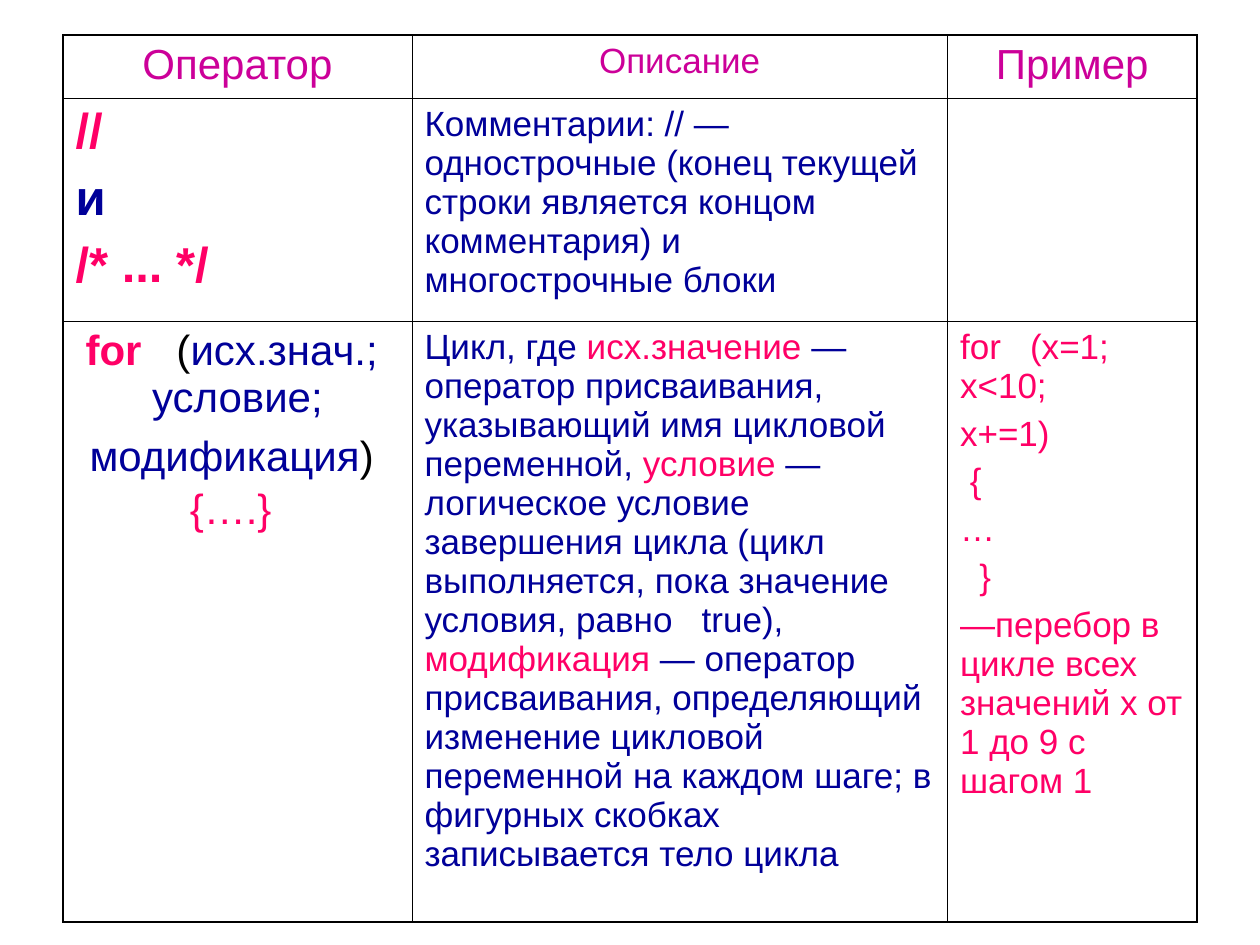
from dataclasses import dataclass

from lxml import etree
from pptx import Presentation
from pptx.dml.color import RGBColor
from pptx.enum import text
from pptx.oxml.ns import qn
from pptx.util import Inches, Pt


@dataclass(frozen=True)
class Theme:
    font: str = "Arial"
    heading: str = "CC0099"
    accent: str = "FF0066"
    body: str = "000099"
    ink: str = "000000"
    small: int = 20
    medium: int = 24
    large: int = 28
    outer_line: float = 1.08
    inner_line: float = 0.45


T = Theme()
LEFT, CENTER = text.PP_ALIGN.LEFT, text.PP_ALIGN.CENTER

COLUMNS = [2.77, 4.25, 1.98]
ROWS = [0.5, 1.77, 4.77]


def para(*runs, size=T.small, align=LEFT, before=5, bold=False):
    """Describe a paragraph; each run is (text, colour[, font overrides])."""
    return dict(runs=runs, size=size, align=align, before=before, bold=bold)


def heading(label, size, before):
    return [para((label, T.heading), size=size, align=CENTER, before=before)]


def symbol(label, color):
    return para((label, color), size=T.large, before=7, bold=True)


CELLS = [
    [
        heading("Оператор", T.medium, 6),
        heading("Описание", T.small, 5),
        heading("Пример", T.medium, 6),
    ],
    [
        [symbol("//", T.accent), symbol("и", T.body), symbol("/* ... */", T.accent)],
        [para(("Комментарии: // — однострочные (конец текущей строки является "
               "концом комментария) и многострочные блоки", T.body))],
        [],
    ],
    [
        [
            para(("for", T.accent, {"bold": True}), ("   (", T.ink),
                 ("исх.знач.;  условие;", T.body),
                 size=T.medium, align=CENTER, before=6),
            para(("модификация", T.body), (")  ", T.ink), ("{….}", T.accent),
                 (" ", T.accent, {"size": Pt(T.large)}),
                 size=T.medium, align=CENTER, before=7),
        ],
        [para(
            ("Цикл, где ", T.body), ("исх.значение", T.accent),
            (" — оператор присваивания, указывающий имя цикловой переменной, ", T.body),
            ("условие", T.accent),
            (" — логическое условие  завершения цикла (цикл выполняется, пока "
             "значение условия, равно   true),   ", T.body),
            ("модификация", T.accent),
            (" — оператор   присваивания, определяющий изменение цикловой переменной "
             "на каждом шаге; в фигурных скобках записывается тело цикла", T.body),
        )],
        [para((line, T.accent)) for line in (
            "for   (x=1;   x<10;", "x+=1)", " {", "…", "  }",
            "—перебор в цикле всех значений х от 1 до 9 с шагом 1")],
    ],
]


def write_paragraph(p, item):
    p.alignment = item["align"]
    p.space_before = Pt(item["before"])
    p.font.name = T.font
    p.font.size = Pt(item["size"])
    p.font.bold = item["bold"]
    for label, color, *overrides in item["runs"]:
        r = p.add_run()
        r.text = label
        # Run fonts are set as well, so the table style cannot override them.
        r.font.name = T.font
        r.font.size = Pt(item["size"])
        r.font.bold = item["bold"]
        r.font.color.rgb = RGBColor.from_string(color)
        for name, value in (overrides[0] if overrides else {}).items():
            setattr(r.font, name, value)


def add_borders(cell, row, col):
    """Draw heavier lines on the table's outer edges than inside it."""
    outer = {
        "a:lnL": col == 0,
        "a:lnR": col == len(COLUMNS) - 1,
        "a:lnT": row == 0,
        "a:lnB": row == len(ROWS) - 1,
    }
    tc_pr = cell._tc.get_or_add_tcPr()
    for tag, is_outer in outer.items():
        width = Pt(T.outer_line if is_outer else T.inner_line)
        line = etree.SubElement(tc_pr, qn(tag), w=str(int(width)))
        fill = etree.SubElement(line, qn("a:solidFill"))
        etree.SubElement(fill, qn("a:srgbClr"), val=T.ink)


def add_operator_table(s):
    frame = s.shapes.add_table(len(ROWS), len(COLUMNS), Inches(0.5), Inches(0.28),
                               Inches(sum(COLUMNS)), Inches(sum(ROWS)))
    table = frame.table
    table.first_row = table.horz_banding = False
    for column, width in zip(table.columns, COLUMNS):
        column.width = Inches(width)
    for row, height in zip(table.rows, ROWS):
        row.height = Inches(height)
    for i, contents in enumerate(CELLS):
        for j, items in enumerate(contents):
            cell = table.cell(i, j)
            add_borders(cell, i, j)
            cell.fill.background()
            tf = cell.text_frame
            for k, item in enumerate(items):
                write_paragraph(tf.add_paragraph() if k else tf.paragraphs[0], item)


def main():
    prs = Presentation()
    prs.slide_width, prs.slide_height = Inches(10), Inches(7.5)
    s = prs.slides.add_slide(prs.slide_layouts[6])
    add_operator_table(s)
    prs.save("out.pptx")


if __name__ == "__main__":
    main()
